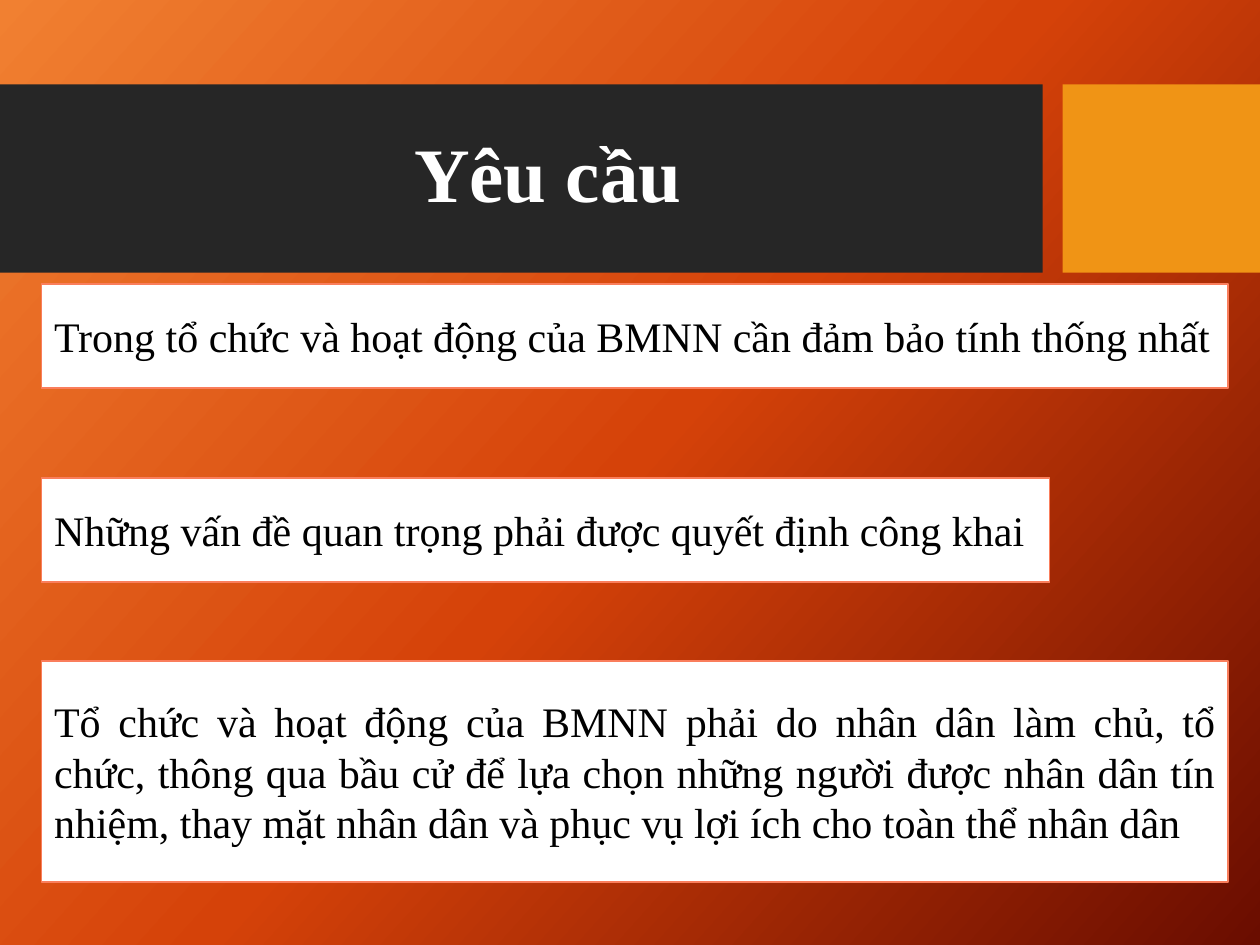
from copy import deepcopy

from pptx import Presentation
from pptx import util as u
from pptx.dml.color import RGBColor
from pptx.enum import shapes, text
from pptx.oxml.ns import qn

FONT = "Times New Roman"
WHITE = RGBColor(0xFF, 0xFF, 0xFF)
BLACK = RGBColor(0x00, 0x00, 0x00)
DARK = RGBColor(0x26, 0x26, 0x26)
AMBER = RGBColor(0xF0, 0x94, 0x15)
CORAL = RGBColor(0xFA, 0x7E, 0x5C)
GLOW = (
    (0, RGBColor(0xF1, 0x80, 0x31)),
    (0.5, RGBColor(0xD5, 0x42, 0x09)),
    (1, RGBColor(0x6A, 0x0D, 0x00)),
)


class Deck:
    """Style and current slide."""

    def __init__(self, wide, high):
        self.prs = Presentation()
        self.prs.slide_width = u.Cm(wide)
        self.prs.slide_height = u.Cm(high)
        self.slide = self.prs.slides.add_slide(self.prs.slide_layouts[5])

    def place(self, shape, left, top, width, height):
        shape.left, shape.top = u.Cm(left), u.Cm(top)
        shape.width, shape.height = u.Cm(width), u.Cm(height)

    def backdrop(self, stops, angle):
        fill = self.slide.background.fill
        fill.gradient()
        fill.gradient_angle = angle
        # The default gradient has two stops: add a third
        first = next(self.slide.element.iter(qn("a:gs")))
        first.addnext(deepcopy(first))
        for stop, (pos, color) in zip(fill.gradient_stops, stops):
            stop.position = pos
            stop.color.rgb = color

    def label(self, shape, words, size, color, align, bold=False):
        frame = shape.text_frame
        frame.text = words
        frame.word_wrap = True
        frame.auto_size = text.MSO_AUTO_SIZE.NONE
        frame.vertical_anchor = text.MSO_ANCHOR.MIDDLE
        para = frame.paragraphs[0]
        para.alignment = align
        font = para.font
        font.name, font.size, font.bold = FONT, u.Pt(size), bold
        font.color.rgb = color
        return para

    def block(self, left, top, width, height, color):
        box = self.slide.shapes.add_shape(
            shapes.MSO_SHAPE.RECTANGLE,
            u.Cm(left), u.Cm(top), u.Cm(width), u.Cm(height))
        box.shadow.inherit = False
        box.fill.solid()
        box.fill.fore_color.rgb = color
        box.line.fill.background()
        return box

    def title(self, words, *area):
        head = self.slide.shapes.title
        self.place(head, *area)
        para = self.label(head, words, 44, WHITE, text.PP_ALIGN.CENTER, True)
        para.line_spacing = 0.9
        # Bring the title in front of the band
        self.slide.shapes.element.append(head.element)

    def card(self, words, top, width, height):
        box = self.block(0.84, top, width, height, WHITE)
        box.line.color.rgb = CORAL
        box.line.width = u.Pt(1)
        self.label(box, words, 24, BLACK, text.PP_ALIGN.JUSTIFY)


def main():
    deck = Deck(25.4, 19.05)
    deck.backdrop(GLOW, 360 - 42)

    # Title band
    deck.block(0, 1.7, 21.02, 3.8, DARK)
    deck.block(21.42, 1.7, 3.98, 3.8, AMBER)
    deck.title("Yêu cầu", 1.47, 2.08, 19.15, 3)

    # Requirements
    deck.card("Trong tổ chức và hoạt động của BMNN cần đảm bảo tính thống nhất",
              5.72, 23.92, 2.11)
    deck.card("Những vấn đề quan trọng phải được quyết định công khai",
              9.63, 20.32, 2.11)
    deck.card("Tổ chức và hoạt động của BMNN phải do nhân dân làm chủ, "
              "tổ chức, thông qua bầu cử để lựa chọn những người được "
              "nhân dân tín nhiệm, thay mặt nhân dân và phục vụ lợi ích "
              "cho toàn thể nhân dân",
              13.33, 23.92, 4.45)

    deck.prs.save("out.pptx")


if __name__ == "__main__":
    main()
